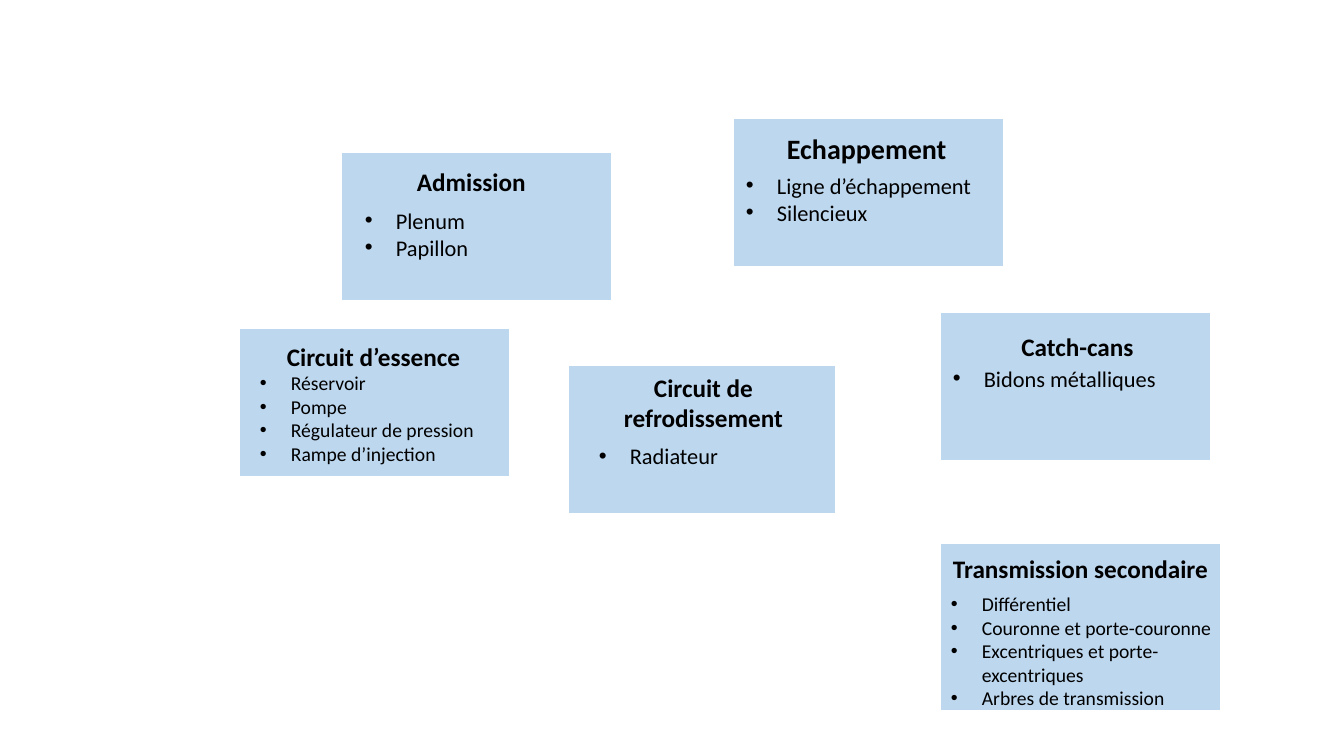
from dataclasses import dataclass

from lxml import etree
from pptx import Presentation
from pptx.dml.color import RGBColor
from pptx.enum.shapes import MSO_SHAPE
from pptx.enum.text import PP_ALIGN
from pptx.oxml.ns import qn
from pptx.util import Pt

PROCESS = MSO_SHAPE.FLOWCHART_PROCESS
LEFT, CENTER = PP_ALIGN.LEFT, PP_ALIGN.CENTER
PIXEL = 914400 / 100.8
BLANK_LAYOUT = 6
INDENT = 31


@dataclass(frozen=True)
class Theme:
    font: str = "Calibri"
    panel: RGBColor = RGBColor(0xBD, 0xD7, 0xEE)
    text: RGBColor = RGBColor(0, 0, 0)
    large_title: int = 20
    title: int = 18
    item: int = 16
    small_item: int = 14


THEME = Theme()


def emu(pixels):
    return round(pixels * PIXEL)


def place(box, part):
    """Turn a part's place within a box into slide lengths."""
    left, top, width, height = part
    return [emu(n) for n in (box[0] + left, box[1] + top, width, height)]


def add_bullet(para):
    properties = para._p.get_or_add_pPr()
    properties.set("marL", str(emu(INDENT)))
    properties.set("indent", str(emu(-INDENT)))
    font = etree.SubElement(properties, qn("a:buFont"))
    font.set("typeface", "Arial")
    etree.SubElement(properties, qn("a:buChar")).set("char", "•")


def add_text(page, box, part, lines, size, bold=False, align=LEFT, bullets=False):
    frame = page.shapes.add_textbox(*place(box, part)).text_frame
    frame.word_wrap = True
    style = {"name": THEME.font, "size": Pt(size), "bold": bold}
    for index, line in enumerate(lines):
        para = frame.add_paragraph() if index else frame.paragraphs[0]
        para.alignment = align
        if bullets:
            add_bullet(para)
        span = para.add_run()
        span.text = line
        for name, value in style.items():
            setattr(span.font, name, value)
        span.font.color.rgb = THEME.text


def add_panel(page, box, title, title_part, items, items_part,
              title_size=THEME.title, item_size=THEME.item, align=CENTER):
    # Background
    panel = page.shapes.add_shape(PROCESS, *place(box, (0, 0, *box[2:])))
    panel.shadow.inherit = False
    panel.fill.solid()
    panel.fill.fore_color.rgb = THEME.panel
    panel.line.fill.background()
    # Heading and list
    add_text(page, box, title_part, [title], title_size, bold=True, align=align)
    add_text(page, box, items_part, items, item_size, bullets=True)


# Title and list places are relative to each panel's box
PANELS = [
    dict(box=(342, 153, 269, 147), align=LEFT,
         title="Admission", title_part=(65, 8, 181, 40),
         items=["Plenum", "Papillon"], items_part=(13, 49, 234, 65)),
    dict(box=(734, 119, 269, 147), align=LEFT, title_size=THEME.large_title,
         title="Echappement", title_part=(43, 8, 181, 44),
         items=["Ligne d’échappement", "Silencieux"],
         items_part=(2, 48, 256, 65)),
    dict(box=(569, 366, 266, 147),
         title="Circuit de refrodissement", title_part=(0, 1, 269, 72),
         items=["Radiateur"], items_part=(20, 71, 222, 37)),
    dict(box=(240, 329, 269, 147), align=LEFT, item_size=THEME.small_item,
         title="Circuit d’essence", title_part=(37, 7, 195, 40),
         items=["Réservoir", "Pompe", "Régulateur de pression",
                "Rampe d’injection"],
         items_part=(10, 37, 248, 105)),
    dict(box=(941, 313, 269, 147),
         title="Catch-cans", title_part=(2, 13, 269, 40),
         items=["Bidons métalliques"], items_part=(2, 47, 227, 37)),
    dict(box=(941, 544, 279, 166), item_size=THEME.small_item,
         title="Transmission secondaire", title_part=(-16, 4, 311, 40),
         items=["Différentiel", "Couronne et porte-couronne",
                "Excentriques et porte-excentriques",
                "Arbres de transmission"],
         items_part=(0, 43, 290, 152)),
]


def build_systems_page(deck):
    page = deck.slides.add_slide(deck.slide_layouts[BLANK_LAYOUT])
    for panel in PANELS:
        add_panel(page, **panel)


deck = Presentation()
deck.slide_width, deck.slide_height = emu(1344), emu(756)
build_systems_page(deck)
deck.save("out.pptx")
